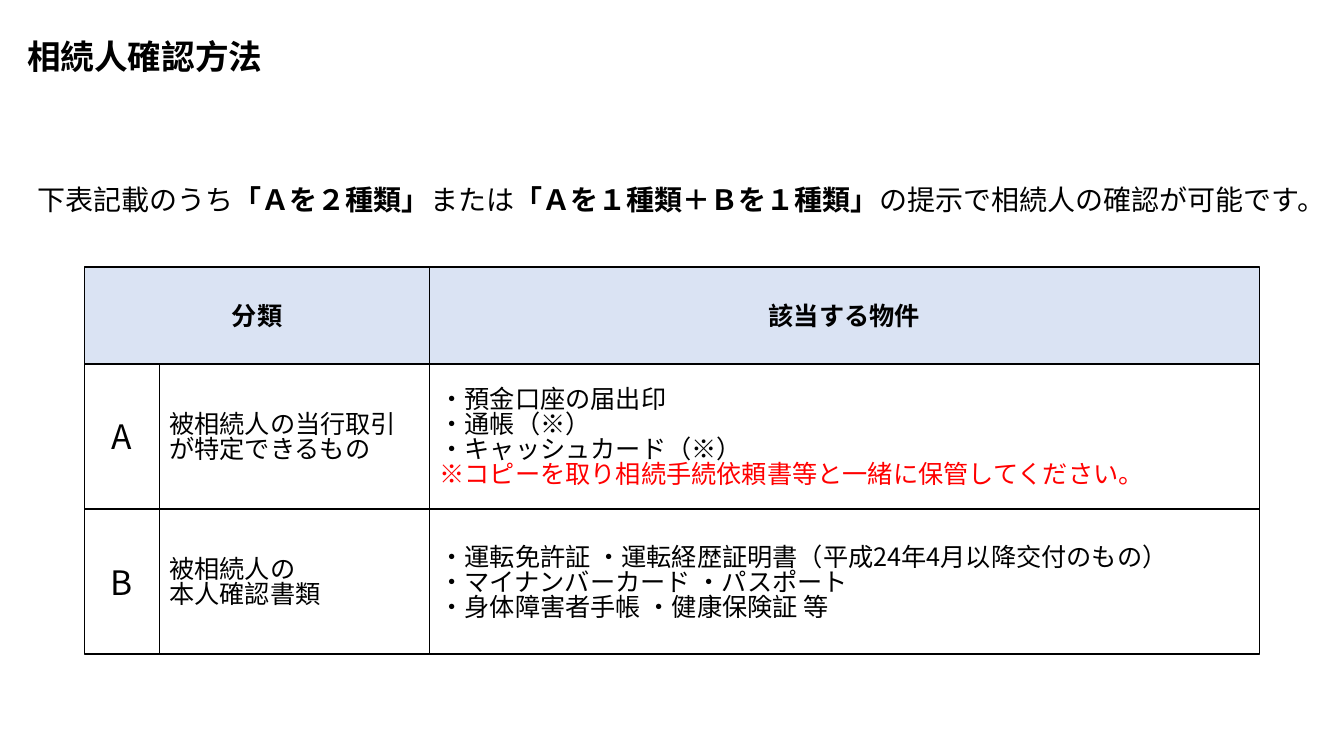
from dataclasses import dataclass

from lxml import etree
from pptx import Presentation
from pptx import util as u
from pptx.dml import color
from pptx.enum import shapes, text
from pptx.oxml import ns

FONT = "Noto Sans CJK JP"
BLACK, RED, WHITE, PALE = "000000", "FF0000", "FFFFFF", "DAE3F3"
MID = text.MSO_ANCHOR.MIDDLE
LEFT, CENTER = text.PP_ALIGN.LEFT, text.PP_ALIGN.CENTER

# Grid edges: column lefts and row tops, each ending with the far side
COLS = (0.84, 1.58, 4.26, 12.49)
ROWS = (2.65, 3.61, 5.05, 6.49)


@dataclass
class Run:
    words: str
    bold: bool = False
    ink: str = BLACK


@dataclass
class Cell:
    row: int
    col: int
    lines: list[Run]
    size: int = 18
    align: text.PP_ALIGN = LEFT
    fill: str = WHITE
    span: int = 1


def rgb(code: str) -> color.RGBColor:
    return color.RGBColor.from_string(code)


def write(frame, lines: list[list[Run]], size: int, align=LEFT) -> None:
    """Fill a text frame, one paragraph for each list of runs."""
    frame.word_wrap = True
    for i, line in enumerate(lines):
        para = frame.add_paragraph() if i else frame.paragraphs[0]
        para.alignment = align
        for item in line:
            run = para.add_run()
            run.text = item.words
            font = run.font
            font.name, font.size, font.bold = FONT, u.Pt(size), item.bold
            font.color.rgb = rgb(item.ink)
            east = etree.SubElement(run._r.rPr, ns.qn("a:ea"))
            east.set("typeface", FONT)


def add_text(slide, box: tuple, line: list[Run], size: int):
    shape = slide.shapes.add_textbox(*map(u.Inches, box))
    write(shape.text_frame, [line], size)
    return shape.text_frame


def add_cell(group, cell: Cell) -> None:
    """Draw one bordered box of the grid."""
    left, top = COLS[cell.col], ROWS[cell.row]
    wide, high = COLS[cell.col + cell.span] - left, ROWS[cell.row + 1] - top
    shape = group.shapes.add_shape(
        shapes.MSO_SHAPE.RECTANGLE, *map(u.Inches, (left, top, wide, high)))
    shape.shadow.inherit = False
    shape.fill.solid()
    shape.fill.fore_color.rgb = rgb(cell.fill)
    shape.line.color.rgb = rgb(BLACK)
    shape.line.width = u.Pt(1)
    frame = shape.text_frame
    frame.vertical_anchor = MID
    write(frame, [[r] for r in cell.lines], cell.size, cell.align)
    # Lists are set tight, with the block nudged back to the middle
    if len(cell.lines) > 1:
        frame.margin_top = u.Inches(0.09)
        for para in frame.paragraphs:
            para.line_spacing = 0.83


def head(col: int, words: str, span: int = 1) -> Cell:
    return Cell(0, col, [Run(words, True)], align=CENTER, fill=PALE, span=span)


def mark(row: int, words: str) -> Cell:
    return Cell(row, 0, [Run(words)], 24, CENTER)


CELLS = [
    head(0, "分類", 2),
    head(2, "該当する物件"),
    Cell(1, 1, [Run("被相続人の当行取引"), Run("が特定できるもの")]),
    Cell(1, 2, [
        Run("・預金口座の届出印"),
        Run("・通帳（※）"),
        Run("・キャッシュカード（※）"),
        Run("※コピーを取り相続手続依頼書等と一緒に保管してください。", ink=RED),
    ]),
    Cell(2, 1, [Run("被相続人の"), Run("本人確認書類")]),
    Cell(2, 2, [
        Run("・運転免許証 ・運転経歴証明書（平成24年4月以降交付のもの）"),
        Run("・マイナンバーカード ・パスポート"),
        Run("・身体障害者手帳 ・健康保険証 等"),
    ]),
    mark(1, "A"),
    mark(2, "B"),
]


def main() -> None:
    deck = Presentation()
    deck.slide_width, deck.slide_height = u.Inches(13.33), u.Inches(7.5)
    slide = deck.slides.add_slide(deck.slide_layouts[6])

    # Title
    title = add_text(slide, (0.17, 0.26, 8.91, 0.65), [Run("相続人確認方法", True)], 24)
    title.vertical_anchor = MID
    title.paragraphs[0].line_spacing = 0.9

    # Grid of accepted papers
    group = slide.shapes.add_group_shape()
    for cell in CELLS:
        add_cell(group, cell)

    # Rule for accepted papers
    rule = add_text(slide, (0.27, 1.76, 12.8, 0.44), [
        Run("下表記載のうち"),
        Run("「Ａを２種類」", True),
        Run("または"),
        Run("「Ａを１種類＋Ｂを１種類」", True),
        Run("の提示で相続人の確認が可能です。"),
    ], 20)
    rule.auto_size = text.MSO_AUTO_SIZE.SHAPE_TO_FIT_TEXT

    deck.save("out.pptx")


if __name__ == "__main__":
    main()
